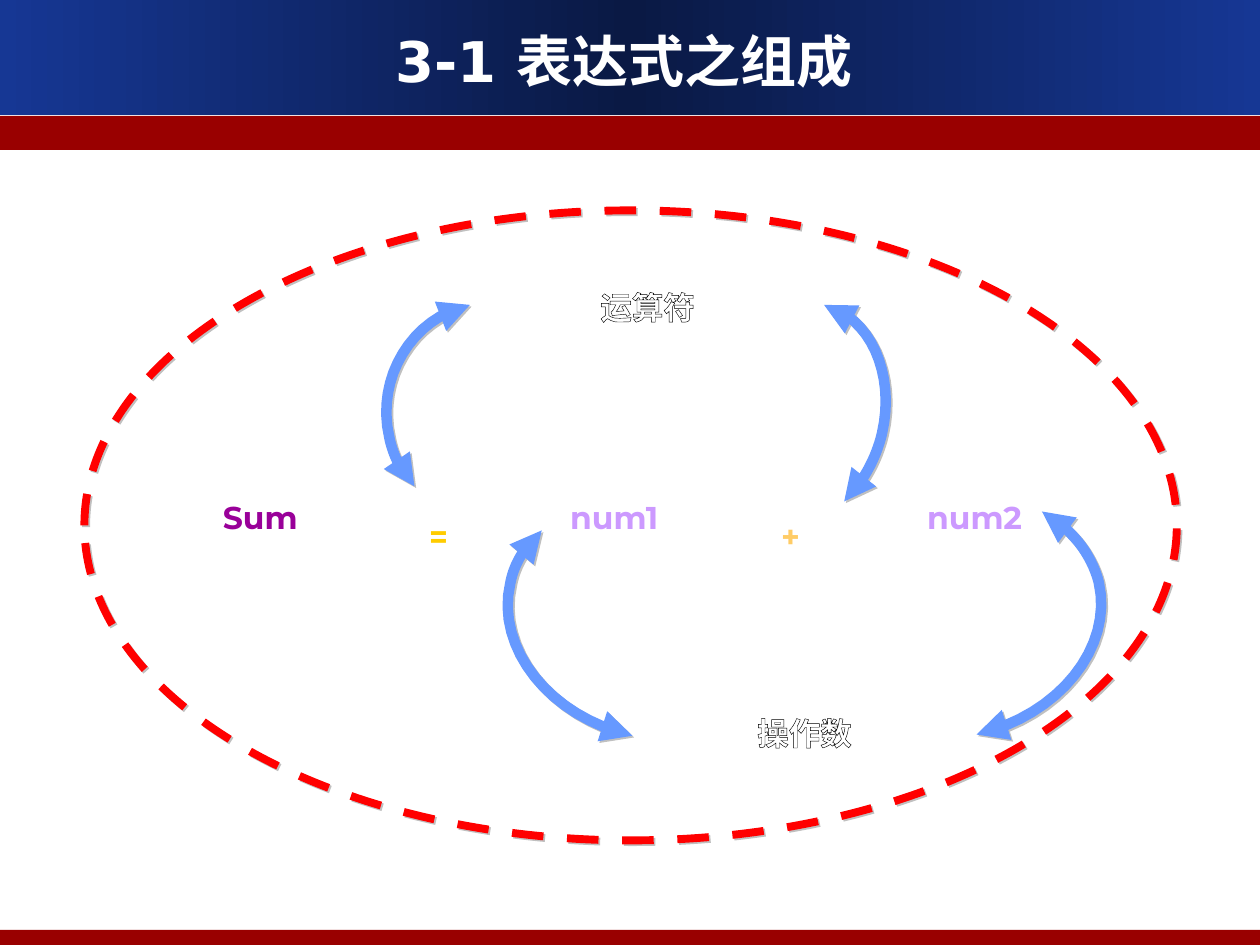
"""Build the slide on the parts of an expression: operators and operands."""
from copy import deepcopy

from lxml import etree
from pptx import Presentation
from pptx.dml.color import RGBColor
from pptx.enum.dml import MSO_LINE
from pptx.enum.shapes import MSO_SHAPE
from pptx.enum.text import MSO_ANCHOR, PP_ALIGN
from pptx.oxml.ns import qn
from pptx.util import Inches, Pt

RECTANGLE, OVAL = MSO_SHAPE.RECTANGLE, MSO_SHAPE.OVAL
DASH = MSO_LINE.DASH
CENTER, MIDDLE = PP_ALIGN.CENTER, MSO_ANCHOR.MIDDLE
CHINESE_FONT = "Noto Sans CJK SC"
CURVE_STEPS = 16
COLORS = {
    "blue": "163794", "navy": "0A1944", "band": "990000", "white": "FFFFFF",
    "black": "000000", "result": "990099", "operand": "CC99FF",
    "equals": "FFCC00", "plus": "FFCC66", "arrow": "6699FF",
    "ring": "FF0000", "shadow": "C0C0C0",
}


def format_text(shape, text, size, font, color, outline=None):
    """Fill a shape with one centred bold line of text."""
    frame = shape.text_frame
    frame.text = text
    frame.vertical_anchor = MIDDLE
    para = frame.paragraphs[0]
    para.alignment = CENTER
    span = para.runs[0]
    span.font.name, span.font.size, span.font.bold = font, Pt(size), True
    span.font.color.rgb = RGBColor.from_string(COLORS[color])
    properties = span.font._element
    latin = properties.find(qn("a:latin"))
    east_asian = etree.Element(qn("a:ea"), typeface=CHINESE_FONT)
    latin.addnext(east_asian)
    if outline:
        line = etree.Element(qn("a:ln"), w=str(Pt(0.75)))
        fill = etree.SubElement(line, qn("a:solidFill"))
        etree.SubElement(fill, qn("a:srgbClr"), val=COLORS[outline])
        properties.insert(0, line)


def style_outline(shape, color, width):
    """Give an unfilled shape a coloured line and a small hard shadow."""
    shape.fill.background()
    shape.line.color.rgb = RGBColor.from_string(COLORS[color])
    shape.line.width = Pt(width)
    shape.shadow.inherit = False
    effects = shape.element.spPr.find(qn("a:effectLst"))
    shadow = etree.SubElement(effects, qn("a:outerShdw"), blurRad="0",
                              dist=str(Pt(1.4)), dir="2700000", algn="ctr", rotWithShape="0")
    etree.SubElement(shadow, qn("a:srgbClr"), val=COLORS["shadow"])


deck = Presentation()
deck.slide_width, deck.slide_height = Inches(10), Inches(7.5)
page = deck.slides.add_slide(deck.slide_layouts[5])

for top, height in [(0, 0.91), (0.92, 0.27), (7.38, 0.12)]:
    band = page.shapes.add_shape(RECTANGLE, 0, Inches(top), deck.slide_width, Inches(height))
    band.shadow.inherit = False
    band.line.fill.background()
    if top == 0:
        band.fill.gradient()
        band.fill.gradient_angle = 0
        stop_list = band.element.spPr.find(".//" + qn("a:gsLst"))
        stop_list.append(deepcopy(stop_list[0]))
        for index, name in enumerate(["blue", "navy", "blue"]):
            stop = band.fill.gradient_stops[index]
            stop.position = index / 2
            stop.color.rgb = RGBColor.from_string(COLORS[name])
    else:
        band.fill.solid()
        band.fill.fore_color.rgb = RGBColor.from_string(COLORS["band"])

title = page.shapes.title
title.left, title.top, title.width, title.height = map(Inches, (0.33, 0.16, 9.25, 0.63))
format_text(title, "3-1 表达式之组成", 32, "DejaVu Sans", "white")
title.element.getparent().append(title.element)

labels = [
    ("Sum", 1.58, 3.82, 0.97, 0.57, "Montserrat", "result", "blue"),
    ("=", 3.14, 4.07, 0.68, 0.37, "Montserrat", "equals", None),
    ("num1", 4.39, 3.82, 0.97, 0.57, "Montserrat", "operand", "blue"),
    ("+", 5.97, 4.07, 0.61, 0.37, "Montserrat", "plus", None),
    ("num2", 7.25, 3.82, 0.97, 0.57, "Montserrat", "operand", "blue"),
    ("操作数", 5.11, 5.48, 2.55, 0.67, CHINESE_FONT, "white", "black"),
    ("运算符", 3.81, 2.13, 2.66, 0.61, CHINESE_FONT, "white", "black"),
]
for text, left, top, width, height, font, color, outline in labels:
    box = page.shapes.add_textbox(Inches(left), Inches(top), Inches(width), Inches(height))
    box.text_frame.word_wrap = False
    format_text(box, text, 18, font, color, outline)

arrow_curves = [
    [(5.02, 5.84), (4.36, 5.69), (3.93, 5.14), (4.05, 4.63),
     (4.08, 4.47), (4.17, 4.33), (4.3, 4.21)],
    [(7.75, 5.83), (8.4, 5.68), (8.84, 5.14), (8.72, 4.62),
     (8.66, 4.39), (8.5, 4.19), (8.27, 4.06)],
    [(3.73, 2.42), (3.27, 2.52), (2.98, 3), (3.09, 3.47),
     (3.12, 3.62), (3.19, 3.75), (3.29, 3.86)],
    [(6.54, 2.42), (6.9, 2.51), (7.11, 2.96), (7, 3.44),
     (6.95, 3.65), (6.84, 3.84), (6.7, 3.98)],
]
for curve in arrow_curves:
    points = []
    for controls in (curve[:4], curve[3:]):
        for step in range(1, CURVE_STEPS + 1):
            t = step / CURVE_STEPS
            weights = ((1 - t) ** 3, 3 * t * (1 - t) ** 2, 3 * t ** 2 * (1 - t), t ** 3)
            points.append([Inches(sum(w * point[axis] for w, point in zip(weights, controls)))
                           for axis in (0, 1)])
    builder = page.shapes.build_freeform(Inches(curve[0][0]), Inches(curve[0][1]))
    builder.add_line_segments(points, close=False)
    arrow = builder.convert_to_shape()
    style_outline(arrow, "arrow", 6)
    line = arrow.element.spPr.find(qn("a:ln"))
    etree.SubElement(line, qn("a:round"))
    for end in ("a:headEnd", "a:tailEnd"):
        etree.SubElement(line, qn(end), type="triangle")

ring = page.shapes.add_shape(OVAL, Inches(0.67), Inches(1.67), Inches(8.67), Inches(5))
style_outline(ring, "ring", 4.5)
ring.line.dash_style = DASH

deck.save("out.pptx")
